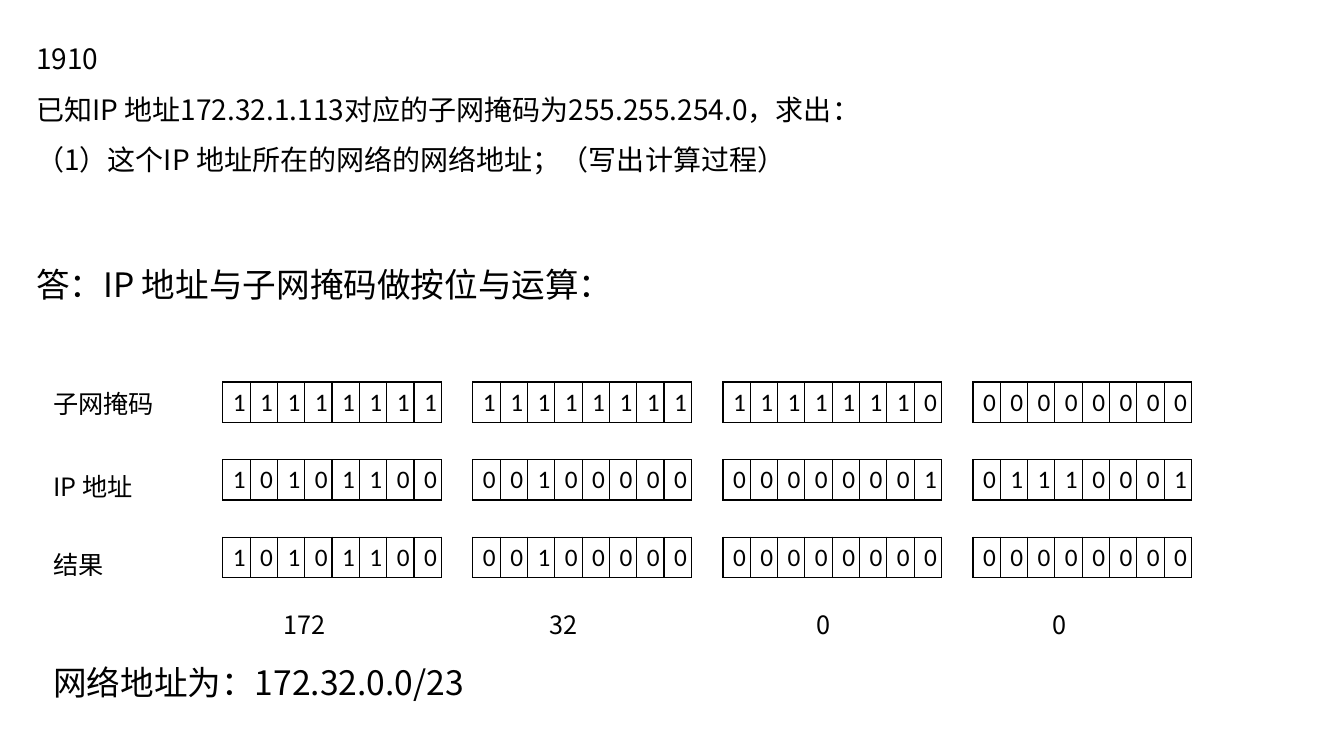
from dataclasses import dataclass

from lxml import etree
from pptx import Presentation
from pptx import util as u
from pptx.dml.color import RGBColor
from pptx.enum import text
from pptx.oxml.ns import qn


@dataclass(frozen=True)
class Theme:
    ink: str = "000000"
    prose_font: str = "Noto Sans CJK SC"
    digit_font: str = "Calibri"
    question: int = 20
    answer: int = 24
    label: int = 18
    line_spacing: float = 1.5
    border: float = 1


class SlideBuilder:
    """Places elements on a grid whose columns and rows are a tenth of an inch."""

    def __init__(self, slide, theme):
        self.slide = slide
        self.theme = theme

    def grid(self, *cells):
        return [u.Inches(cell / 10) for cell in cells]

    def style(self, run, size, face):
        formats = {"size": u.Pt(size), "name": face, "bold": False}
        for name, value in formats.items():
            setattr(run.font, name, value)
        run.font.color.rgb = RGBColor.from_string(self.theme.ink)
        etree.SubElement(run.font._element, qn("a:ea"), typeface=face)

    def prose(self, col, row, cols, rows, lines, size):
        box = self.slide.shapes.add_textbox(*self.grid(col, row, cols, rows))
        frame = box.text_frame
        frame.word_wrap = True
        frame.auto_size = text.MSO_AUTO_SIZE.SHAPE_TO_FIT_TEXT
        frame.text = "\n".join(lines)
        for paragraph in frame.paragraphs:
            paragraph.line_spacing = self.theme.line_spacing
            for run in paragraph.runs:
                self.style(run, size, self.theme.prose_font)

    def outline(self, cell):
        properties = cell._tc.get_or_add_tcPr()
        for side in ("lnL", "lnR", "lnT", "lnB"):
            line = etree.SubElement(properties, qn(f"a:{side}"),
                                    w=str(u.Pt(self.theme.border)))
            fill = etree.SubElement(line, qn("a:solidFill"))
            etree.SubElement(fill, qn("a:srgbClr"), val=self.theme.ink)
        cell.fill.background()

    def octet(self, col, row, cols, rows, value):
        """Draws one byte as a table of eight bits."""
        bits = f"{value:08b}"
        table = self.slide.shapes.add_table(
            1, len(bits), *self.grid(col, row, cols, rows)).table
        for flag in ("first_row", "horz_banding"):
            setattr(table, flag, False)
        for cell, bit in zip(table.iter_cells(), bits):
            self.outline(cell)
            cell.text = bit
            self.style(cell.text_frame.paragraphs[0].runs[0],
                       self.theme.label, self.theme.digit_font)


QUESTION = [
    "1910",
    "已知IP 地址172.32.1.113对应的子网掩码为255.255.254.0，求出：",
    "（1）这个IP 地址所在的网络的网络地址；（写出计算过程）",
]
MASK = [255, 255, 254, 0]
ADDRESS = [172, 32, 1, 113]
NETWORK = [mask & part for mask, part in zip(MASK, ADDRESS)]

# label, row of the label, bytes
OPERANDS = [
    ("子网掩码", 36.5, MASK),
    ("IP 地址", 44.8, ADDRESS),
    ("结果", 52.5, NETWORK),
]
FIRST_COL, COL_PITCH, OCTET_COLS = 22.1, 24.8, 21.7
FIRST_ROW, ROW_PITCH, OCTET_ROWS = 37.9, 7.7, 4
DECIMAL_COLS = [27.1, 53.5, 80, 103.4]


def main():
    deck = Presentation()
    deck.slide_width, deck.slide_height = u.Inches(13.33), u.Inches(7.5)
    theme = Theme()
    page = SlideBuilder(deck.slides.add_slide(deck.slide_layouts[6]), theme)

    page.prose(2.6, 2, 125.5, 16.2, QUESTION, theme.question)
    page.prose(2.6, 23.7, 125.5, 7.1,
               ["答：IP 地址与子网掩码做按位与运算："], theme.answer)

    for line, (label, label_row, octets) in enumerate(OPERANDS):
        for place, value in enumerate(octets):
            page.octet(FIRST_COL + place * COL_PITCH, FIRST_ROW + line * ROW_PITCH,
                       OCTET_COLS, OCTET_ROWS, value)
        page.prose(4.3, label_row, 12.8, 5, [label], theme.label)

    for col, value in zip(DECIMAL_COLS, NETWORK):
        page.prose(col, 58.5, 11.8, 5, [str(value)], theme.label)
    page.prose(4.3, 63.2, 125.5, 7.1,
               ["网络地址为：172.32.0.0/23"], theme.answer)

    deck.save("out.pptx")


if __name__ == "__main__":
    main()
